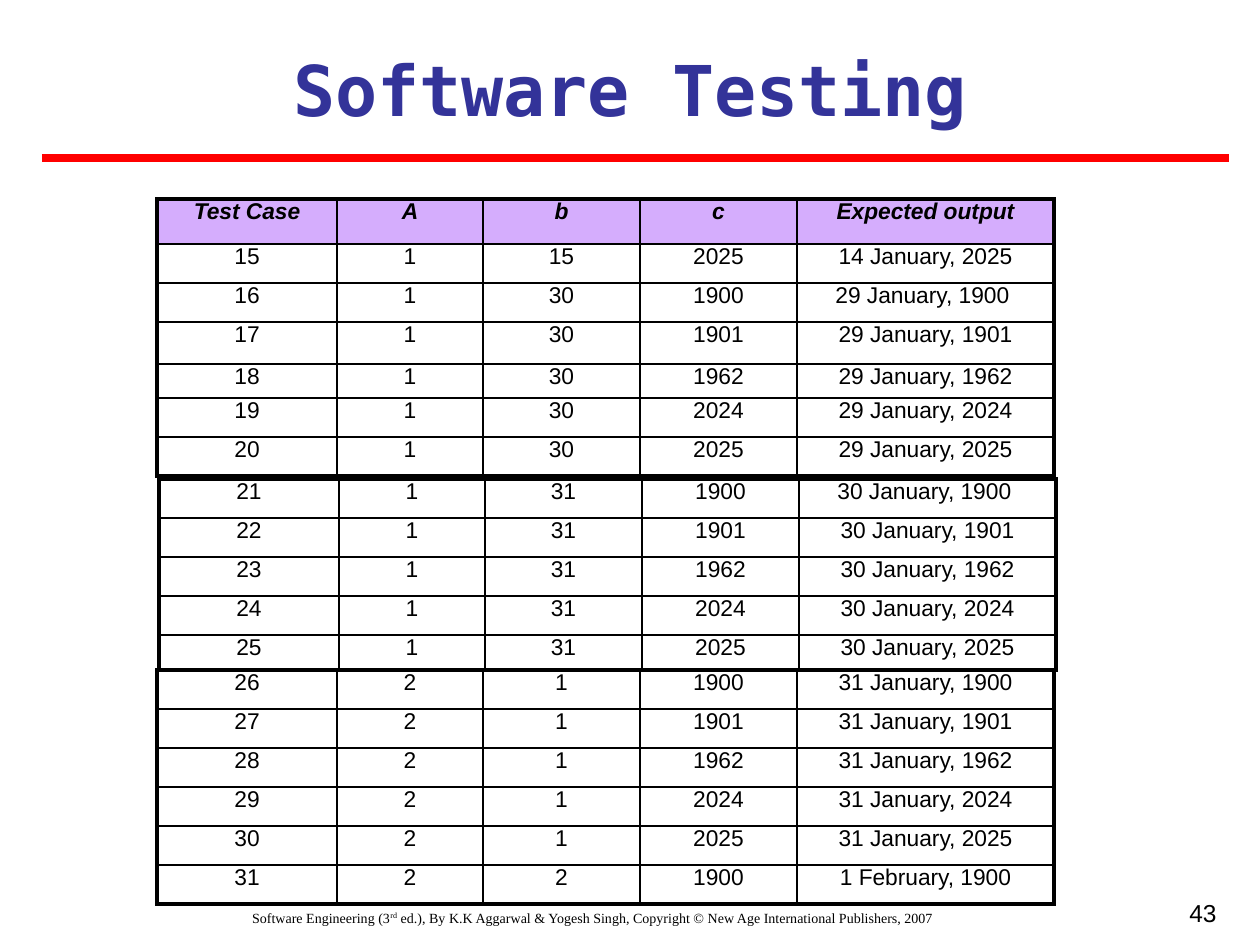
from lxml import etree
from pptx import Presentation
from pptx import util as u
from pptx.dml.color import RGBColor
from pptx.enum import shapes, text
from pptx.oxml import ns

SCALE = 914400 / 126
BLACK = "000000"
COLUMNS = [180, 146, 157, 157, 257]
HEADER = ["Test Case", "A", "b", "c", "Expected output"]
JANUARY_30 = [
    ["15", "1", "15", "2025", "14 January, 2025"],
    ["16", "1", "30", "1900", "29 January, 1900 "],
    ["17", "1", "30", "1901", "29 January, 1901"],
    ["18", "1", "30", "1962", "29 January, 1962"],
    ["19", "1", "30", "2024", "29 January, 2024"],
    ["20", "1", "30", "2025", "29 January, 2025"],
]
JANUARY_31 = [
    ["21", "1", "31", "1900", "30 January, 1900 "],
    ["22", "1", "31", "1901", "30 January, 1901"],
    ["23", "1", "31", "1962", "30 January, 1962"],
    ["24", "1", "31", "2024", "30 January, 2024"],
    ["25", "1", "31", "2025", "30 January, 2025"],
]
FEBRUARY = [
    ["26", "2", "1", "1900", "31 January, 1900"],
    ["27", "2", "1", "1901", "31 January, 1901"],
    ["28", "2", "1", "1962", "31 January, 1962"],
    ["29", "2", "1", "2024", "31 January, 2024"],
    ["30", "2", "1", "2025", "31 January, 2025"],
    ["31", "2", "2", "1900", "1 February, 1900"],
]


def px(length):
    return u.Emu(round(length * SCALE))


def color(value):
    return RGBColor.from_string(value)


def add_run(paragraph, words, size, font="Arial", fill=BLACK, bold=False, italic=False):
    run = paragraph.add_run()
    run.text = words
    run.font.name = font
    run.font.size = u.Pt(size)
    run.font.bold = bold
    run.font.italic = italic
    run.font.color.rgb = color(fill)
    return run


def add_title(slide, left, top, width, height):
    title = slide.shapes.title
    title.left, title.top, title.width, title.height = map(px, (left, top, width, height))
    title.text_frame.vertical_anchor = text.MSO_ANCHOR.MIDDLE
    paragraph = title.text_frame.paragraphs[0]
    paragraph.alignment = text.PP_ALIGN.CENTER
    add_run(paragraph, "Software Testing", 40, "DejaVu Sans Mono", "333399", bold=True)


def add_rule(slide, left, top, width):
    rule = slide.shapes.add_connector(
        shapes.MSO_CONNECTOR.STRAIGHT, px(left), px(top), px(left + width), px(top))
    rule.line.color.rgb = color("FF0000")
    rule.line.width = u.Pt(4.5)
    etree.SubElement(rule._element.spPr, ns.qn("a:effectLst"))


def add_label(slide, left, top, width, height, alignment):
    frame = slide.shapes.add_textbox(px(left), px(top), px(width), px(height)).text_frame
    frame.word_wrap = True
    paragraph = frame.paragraphs[0]
    paragraph.alignment = alignment
    return paragraph


def add_footer(slide, left, top, width, height):
    paragraph = add_label(slide, left, top, width, height, text.PP_ALIGN.CENTER)
    font = "Times New Roman"
    add_run(paragraph, "Software Engineering (3", 8, font)
    ordinal = add_run(paragraph, "rd", 8, font)
    ordinal.font._element.set("baseline", "30000")
    add_run(paragraph, " ed.), By K.K Aggarwal & Yogesh Singh, "
            "Copyright © New Age International Publishers, 2007", 8, font)


def add_page_number(slide, left, top, width, height):
    paragraph = add_label(slide, left, top, width, height, text.PP_ALIGN.RIGHT)
    add_run(paragraph, "43", 14)


def set_borders(cell, outer_sides):
    properties = cell._tc.get_or_add_tcPr()
    for side in "LRTB":
        width = u.Pt(2.25 if side in outer_sides else 1)
        line = etree.SubElement(properties, ns.qn(f"a:ln{side}"), w=str(width))
        solid = etree.SubElement(line, ns.qn("a:solidFill"))
        etree.SubElement(solid, ns.qn("a:srgbClr"), val=BLACK)


def fill_cell(cell, words, is_header):
    cell.margin_top = cell.margin_bottom = 0
    cell.margin_left = cell.margin_right = u.Inches(0.1)
    cell.vertical_anchor = text.MSO_ANCHOR.TOP
    if is_header:
        cell.fill.solid()
        cell.fill.fore_color.rgb = color("D5ADFD")
    else:
        cell.fill.background()
    paragraph = cell.text_frame.paragraphs[0]
    paragraph.alignment = text.PP_ALIGN.CENTER
    add_run(paragraph, words, 13, bold=is_header, italic=is_header)


def add_case_table(slide, left, top, heights, rows):
    table = slide.shapes.add_table(
        len(rows), len(COLUMNS), px(left), px(top),
        px(sum(COLUMNS)), px(sum(heights))).table
    table.first_row = table.horz_banding = False
    for column, width in zip(table.columns, COLUMNS):
        column.width = px(width)
    last_row, last_column = len(rows) - 1, len(COLUMNS) - 1
    for r, (row, height) in enumerate(zip(rows, heights)):
        table.rows[r].height = px(height)
        for c, words in enumerate(row):
            edges = {"L": c == 0, "R": c == last_column, "T": r == 0, "B": r == last_row}
            cell = table.cell(r, c)
            set_borders(cell, [side for side, is_outer in edges.items() if is_outer])
            fill_cell(cell, words, row is HEADER)


def main():
    presentation = Presentation()
    presentation.slide_width, presentation.slide_height = px(1260), px(945)
    slide = presentation.slides.add_slide(presentation.slide_layouts.get_by_name("Title Only"))
    add_footer(slide, 31, 903, 1124, 42)
    add_page_number(slide, 935, 892, 294, 74)
    add_title(slide, 42, 40, 1176, 97)
    add_rule(slide, 42, 158, 1187)
    add_case_table(slide, 157, 199, [45, 39, 39, 42, 34, 39, 39], [HEADER] + JANUARY_30)
    add_case_table(slide, 159, 479, [39] * 4 + [35], JANUARY_31)
    add_case_table(slide, 157, 670, [39] * 6, FEBRUARY)
    presentation.save("out.pptx")


if __name__ == "__main__":
    main()
